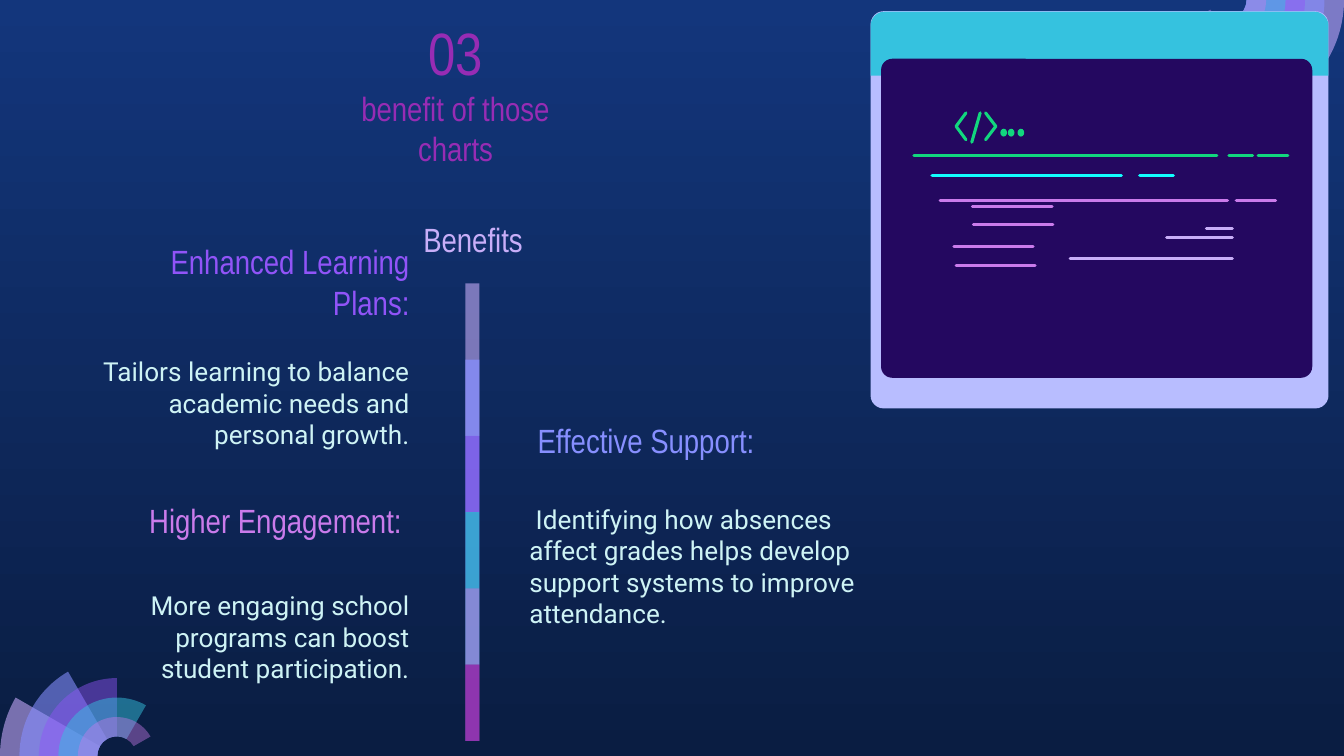
from math import cos, radians, sin, tan

from lxml.etree import SubElement
from pptx import Presentation
from pptx.dml.color import RGBColor
from pptx.enum.shapes import MSO_CONNECTOR, MSO_SHAPE
from pptx.enum.text import MSO_ANCHOR, MSO_AUTO_SIZE, PP_ALIGN
from pptx.oxml.ns import qn
from pptx.util import Pt

GREEN, CYAN, PINK, LILAC = "12D77E", "12FFFF", "CA7BEB", "C8AEF8"
BLUE, VIOLET, TEAL, PURPLE, PALE = "878FFF", "9154F8", "35C2DF", "972CB4", "CEF3F5"
ALIGN = {"l": PP_ALIGN.LEFT, "c": PP_ALIGN.CENTER, "r": PP_ALIGN.RIGHT}
ANCHOR = {"t": MSO_ANCHOR.TOP, "m": MSO_ANCHOR.MIDDLE, "b": MSO_ANCHOR.BOTTOM}


def rgb(value):
    """Turn a hex string into a colour."""
    return RGBColor.from_string(value)


def write(sp, text, font="Arial Narrow", size=18, color=PALE, align="l", anchor="b",
          bottom=7.2, right=7.2):
    """Put formatted text into a shape."""
    tf = sp.text_frame
    tf.word_wrap = True
    tf.auto_size = MSO_AUTO_SIZE.NONE
    tf.vertical_anchor = ANCHOR[anchor]
    tf.margin_left = tf.margin_top = Pt(7.2)
    tf.margin_right, tf.margin_bottom = Pt(right), Pt(bottom)
    p = tf.paragraphs[0]
    p.alignment = ALIGN[align]
    r = p.add_run()
    r.text = text
    r.font.name, r.font.size = font, Pt(size)
    r.font.bold = False
    r.font.color.rgb = rgb(color)


class Deck:
    """Hold the style and the current slide."""

    def __init__(self, prs, stroke=1.64):
        """Add a title-only slide with a vertical gradient."""
        self.stroke = stroke
        self.s = prs.slides.add_slide(prs.slide_layouts[5])
        fill = self.s.background.fill
        fill.gradient()
        fill.gradient_angle = 270
        for stop, color, place in zip(fill.gradient_stops, ("13367C", "0A1D42"), (0, 1)):
            stop.color.rgb = rgb(color)
            stop.position = place

    def paint(self, sp, color, alpha=100):
        """Fill a shape without line or shadow."""
        sp.shadow.inherit = False
        sp.line.fill.background()
        sp.fill.solid()
        sp.fill.fore_color.rgb = rgb(color)
        if alpha < 100:
            clr = sp._element.spPr.find(qn("a:solidFill")).find(qn("a:srgbClr"))
            SubElement(clr, qn("a:alpha")).set("val", str(alpha * 1000))

    def title(self, text, box, **fmt):
        """Place and format the title placeholder."""
        sp = self.s.shapes.title
        sp.left, sp.top, sp.width, sp.height = map(Pt, box)
        write(sp, text, **fmt)

    def text(self, text, box, **fmt):
        """Add a text box."""
        write(self.s.shapes.add_textbox(*map(Pt, box)), text, **fmt)

    def shape(self, kind, box, color, alpha=100, radius=None):
        """Add a filled preset shape."""
        sp = self.s.shapes.add_shape(kind, *map(Pt, box))
        if radius:
            sp.adjustments[0] = radius / min(box[2:])
        self.paint(sp, color, alpha)

    def outline(self, points, close):
        """Build a freeform through points."""
        pts = [(Pt(x), Pt(y)) for x, y in points]
        fb = self.s.shapes.build_freeform(*pts[0], scale=1.0)
        fb.add_line_segments(pts[1:], close=close)
        return fb.convert_to_shape()

    def sector(self, cx, cy, inner, outer, sweep, sign, color, alpha):
        """Add a ring sector with curved sides, starting on the horizontal."""
        angles = [radians(a) for a in sorted({0, min(90, sweep), sweep})]
        arcs = [(outer, a) for a in angles] + [(inner, a) for a in reversed(angles)]

        def at(r, a, bend=0):
            """Find a point on the arc, moved along its tangent by a share of the radius."""
            return (cx + sign * r * (cos(a) - bend * sin(a)),
                    cy + sign * r * (sin(a) + bend * cos(a)))

        sp = self.outline([at(r, a) for r, a in arcs], True)
        sides = list(sp._element.iter(qn("a:lnTo")))
        for side, (r1, a), (r2, b) in zip(sides, arcs, arcs[1:]):
            if r1 == r2:
                bend = 4 / 3 * tan((b - a) / 4)
                side.tag = qn("a:cubicBezTo")
                for i, (x, y) in enumerate((at(r1, a, bend), at(r1, b, -bend))):
                    pt = SubElement(side, qn("a:pt"))
                    pt.set("x", str(Pt(x) - sp.left))
                    pt.set("y", str(Pt(y) - sp.top))
                    side.insert(i, pt)
        self.paint(sp, color, alpha)

    def bracket(self, points, color):
        """Add an open angle bracket."""
        sp = self.outline(points, False)
        sp.shadow.inherit = False
        sp.fill.background()
        self.pen(sp, color)

    def line(self, x1, y1, x2, y2, color):
        """Add a straight line."""
        cn = self.s.shapes.add_connector(MSO_CONNECTOR.STRAIGHT, *map(Pt, (x1, y1, x2, y2)))
        self.pen(cn, color)
        SubElement(cn._element.spPr, qn("a:effectLst"))

    def pen(self, sp, color):
        """Set line colour, width and round ends."""
        sp.line.color.rgb = rgb(color)
        sp.line.width = Pt(self.stroke)
        sp._element.spPr.find(qn("a:ln")).set("cap", "rnd")


def main():
    """Build the benefits slide."""
    prs = Presentation()
    prs.slide_width, prs.slide_height = Pt(720), Pt(405)
    deck = Deck(prs)

    ring = 10.43
    rings = [("C8ACFD", 58), (BLUE, 58), (VIOLET, 46), (TEAL, 49), (PINK, 42)]
    for cx, cy, sign in [(6 * ring, 405, -1), (720 - 6 * ring, 0, 1)]:
        for i, (color, alpha) in enumerate(rings):
            deck.sector(cx, cy, ring, (6 - i) * ring, 30 * (i + 1), sign, color, alpha)

    deck.shape(MSO_SHAPE.ROUNDED_RECTANGLE, (466.4, 6, 245.3, 212.8), "B8BDFF", radius=7)

    deck.text("Benefits", (213.8, 120.2, 73.4, 47.5), color=LILAC, align="r", bottom=28.8)
    heads = [
        ("Enhanced Learning Plans:", 44.3, 148.6, VIOLET, "r"),
        ("Effective Support:", 280.9, 222.9, BLUE, "l"),
        ("Higher Engagement: ", 44.3, 265.6, PINK, "r"),
    ]
    for text, x, y, color, align in heads:
        deck.text(text, (x, y, 182.2, 31), color=color, align=align)
    details = [
        ("Tailors learning to balance academic needs and personal growth.",
         (44.3, 183.4, 182.2, 49.7), "r", 7.2),
        (" Identifying how absences affect grades helps develop support systems to improve attendance.",
         (276.5, 262.4, 223.2, 91.4), "l", 30),
        ("More engaging school programs can boost student participation.",
         (44.3, 308.7, 182.2, 49.7), "r", 7.2),
    ]
    for text, box, align, right in details:
        deck.text(text, box, font="Roboto", size=14, align=align, anchor="t", right=right)

    step = 40.86
    bars = [(LILAC, 59), (BLUE, 74), (VIOLET, 53), (TEAL, 76), (PINK, 56), (PURPLE, 74)]
    for i, (color, alpha) in enumerate(bars):
        height = step * min(2, len(bars) - i)
        deck.shape(MSO_SHAPE.RECTANGLE, (249.3, 151.8 + i * step, 7.5, height), color, alpha)

    deck.shape(MSO_SHAPE.ROUND_2_SAME_RECTANGLE, (466.4, 6.3, 245.3, 34.3), TEAL, radius=7.5)
    deck.shape(MSO_SHAPE.ROUNDED_RECTANGLE, (472, 31.5, 231, 170.9), "240860", radius=6)

    for back, tip in [(517.5, 512.2), (528, 533.5)]:
        deck.bracket([(back, 60.5), (tip, 67.7), (back, 74.9)], GREEN)
    deck.line(520.6, 76.2, 525.1, 60.5, GREEN)
    for x in (535.9, 539.9, 545.1):
        deck.shape(MSO_SHAPE.OVAL, (x, 69, 3.6, 4.2), GREEN)

    code = [
        (83.1, GREEN, [(489.6, 651.9), (658.4, 671), (674, 690)]),
        (93.9, CYAN, [(499.3, 600.7), (610.6, 628.6)]),
        (107.3, PINK, [(503.7, 657.6), (662.3, 683.4)]),
        (110.4, PINK, [(521, 563.6)]),
        (120.2, PINK, [(521.5, 564)]),
        (131.9, PINK, [(511, 553.5)]),
        (142.1, PINK, [(512.2, 554.5)]),
        (138.4, LILAC, [(573.3, 660.2)]),
        (127, LILAC, [(625, 660.2)]),
        (122.4, LILAC, [(646.3, 660.2)]),
    ]
    for y, color, spans in code:
        for x1, x2 in spans:
            deck.line(x1, y, x2, y, color)

    deck.title("benefit of those charts", (170.6, 43.4, 146.9, 54), color=PURPLE, align="c")
    deck.text("03", (200.9, 12.2, 86.4, 31), size=32, color=PURPLE, align="c", anchor="m")
    prs.save("out.pptx")


if __name__ == "__main__":
    main()
